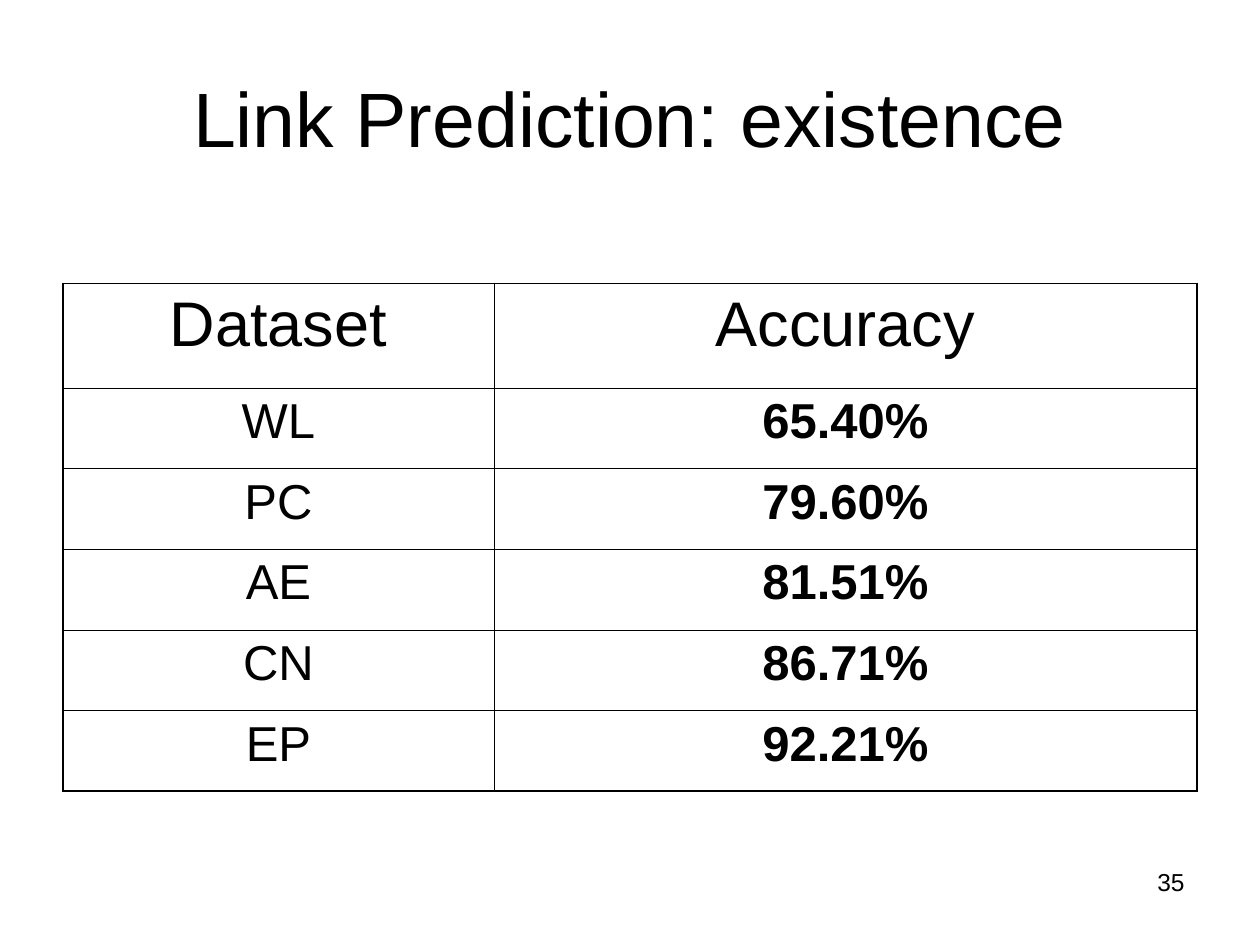
import pptx
import pptx.dml.color
import pptx.enum.text
import pptx.util
from lxml import etree
from pptx.oxml.ns import qn
from pptx.util import Inches

ALIGN = pptx.enum.text.PP_ALIGN
ANCHOR = pptx.enum.text.MSO_ANCHOR

RESULTS = [
    ("Dataset", "Accuracy"),
    ("WL", "65.40%"),
    ("PC", "79.60%"),
    ("AE", "81.51%"),
    ("CN", "86.71%"),
    ("EP", "92.21%"),
]


def color(value):
    return pptx.dml.color.RGBColor.from_string(value)


def write_text(frame, text, size, font="Arial", fill="000000", bold=False,
               align=ALIGN.CENTER, anchor=ANCHOR.TOP):
    frame.word_wrap = True
    frame.vertical_anchor = anchor
    paragraph = frame.paragraphs[0]
    paragraph.alignment = align
    run = paragraph.add_run()
    run.text = text
    run.font.name = font
    run.font.size = pptx.util.Pt(size)
    run.font.bold = bold
    run.font.color.rgb = color(fill)


class SlideBuilder:
    ink = "000000"
    inner_line = 0.45
    outer_line = 1.08

    def __init__(self, presentation):
        self.slide = presentation.slides.add_slide(presentation.slide_layouts[5])

    def title(self, text, left, top, width, height):
        shape = self.slide.shapes.title
        shape.left, shape.top = Inches(left), Inches(top)
        shape.width, shape.height = Inches(width), Inches(height)
        write_text(shape.text_frame, text, 44, fill=self.ink, anchor=ANCHOR.MIDDLE)

    def text(self, text, left, top, width, height, **style):
        shape = self.slide.shapes.add_textbox(
            Inches(left), Inches(top), Inches(width), Inches(height))
        write_text(shape.text_frame, text, fill=self.ink, **style)

    def border(self, cell, side, width):
        properties = cell._tc.get_or_add_tcPr()
        line = etree.SubElement(properties, qn(f"a:ln{side}"), w=str(pptx.util.Pt(width)))
        fill = etree.SubElement(line, qn("a:solidFill"))
        etree.SubElement(fill, qn("a:srgbClr"), val=self.ink)

    def table(self, rows, left, top, widths, heights):
        shape = self.slide.shapes.add_table(
            len(rows), len(widths), Inches(left), Inches(top),
            Inches(sum(widths)), Inches(sum(heights)))
        table = shape.table
        table.first_row = table.horz_banding = False
        for column, width in zip(table.columns, widths):
            column.width = Inches(width)
        for row, height in zip(table.rows, heights):
            row.height = Inches(height)
        last_row, last_column = len(rows) - 1, len(widths) - 1
        for r, values in enumerate(rows):
            for c, value in enumerate(values):
                cell = table.cell(r, c)
                outer_sides = {"L": c == 0, "R": c == last_column,
                               "T": r == 0, "B": r == last_row}
                for side, outer in outer_sides.items():
                    self.border(cell, side, self.outer_line if outer else self.inner_line)
                cell.fill.background()
                write_text(cell.text_frame, value, 28 if r else 36, fill=self.ink,
                           bold=r > 0 and c > 0)


def main():
    presentation = pptx.Presentation()
    presentation.slide_width = Inches(10)
    presentation.slide_height = Inches(7.5)
    builder = SlideBuilder(presentation)
    builder.title("Link Prediction: existence", 0.5, 0.3, 9, 1.25)
    builder.table(RESULTS, 0.5, 2.25, [3.42, 5.58], [0.83] + [0.64] * 5)
    builder.text("35", 7.17, 6.83, 2.33, 0.52, size=14, align=ALIGN.RIGHT)
    presentation.save("out.pptx")


if __name__ == "__main__":
    main()
